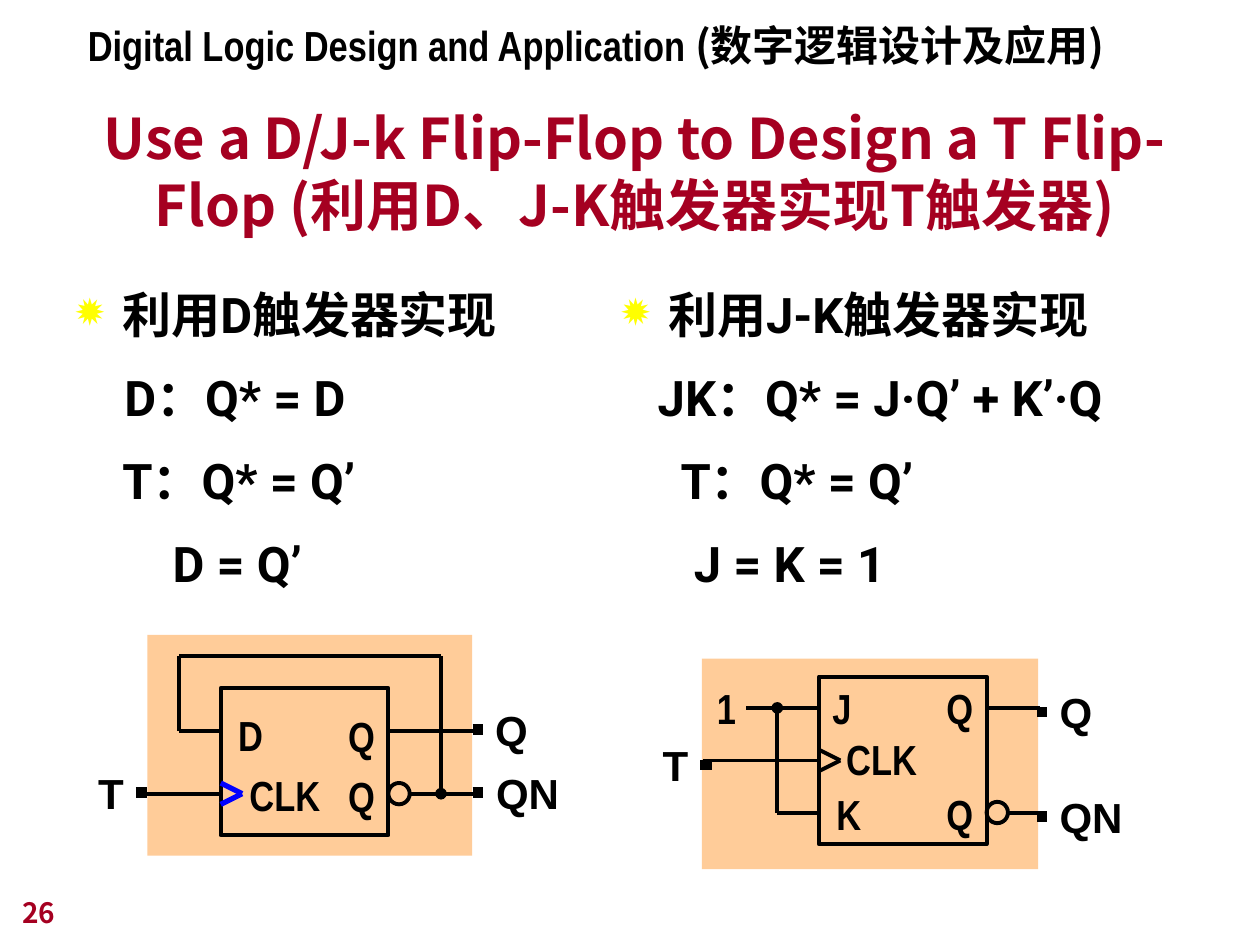
from dataclasses import dataclass

from lxml import etree
from pptx import Presentation
from pptx.dml.color import RGBColor
from pptx.enum.shapes import MSO_CONNECTOR, MSO_SHAPE
from pptx.enum.text import MSO_ANCHOR, MSO_AUTO_SIZE, PP_ALIGN
from pptx.oxml.ns import qn
from pptx.util import Cm, Pt

STRAIGHT = MSO_CONNECTOR.STRAIGHT
RECTANGLE, OVAL = MSO_SHAPE.RECTANGLE, MSO_SHAPE.OVAL
TOP, BOTTOM = MSO_ANCHOR.TOP, MSO_ANCHOR.BOTTOM
LEFT, CENTER = PP_ALIGN.LEFT, PP_ALIGN.CENTER
NO_AUTOFIT = MSO_AUTO_SIZE.NONE

BLACK = RGBColor(0x00, 0x00, 0x00)
BLUE = RGBColor(0x00, 0x00, 0xFF)
CRIMSON = RGBColor(0xA5, 0x00, 0x21)
PEACH = RGBColor(0xFF, 0xCC, 0x99)
YELLOW = RGBColor(0xFF, 0xFF, 0x00)
CJK, NARROW, ARIAL, ROBOTO = "Noto Sans CJK JP", "Arial Narrow", "Arial", "Roboto"

BUBBLE = 0.43
LABEL_HEIGHT = 1.27
OUTPUT_WIDTH = 1.02
OUTPUT_OFFSET = 2.32


@dataclass
class Line:
    text: str
    indent: float
    spacing: float = 1.2


@dataclass
class Column:
    left: float
    width: float
    heading: str
    equations: list[Line]


@dataclass
class Pin:
    text: str
    left: float
    width: float
    stub_left: float
    stub_right: float
    y: float


@dataclass
class Wire:
    x1: float
    y1: float
    x2: float
    y2: float
    dot: bool = False
    to_chip: bool = False


@dataclass
class Circuit:
    board: tuple[float, float, float, float]
    chip: tuple[float, float, float, float]
    inputs: list[Line]
    output_tops: tuple[float, float]
    pins: list[Pin]
    wires: list[Wire]
    bubble_y: float
    clock_y: float
    clock_color: RGBColor
    clock_weight: float


COLUMNS = [
    Column(1.27, 11.23, "利用D触发器实现", [
        Line("D：Q* = D", 0.99), Line("T：Q* = Q’", 0.95), Line("D = Q’", 1.96)]),
    Column(12.27, 11.86, "利用J-K触发器实现", [
        Line("JK：Q* = J·Q’ + K’·Q", 0.74), Line("T：Q* = Q’", 1.2),
        Line("J = K = 1", 1.47)]),
]

CIRCUITS = [
    Circuit(
        (2.97, 12.8, 6.55, 4.45), (4.45, 13.87, 3.38, 2.97),
        [Line("D", 0.1, 1.3), Line("CLK", 0.33)], (14.2, 15.41),
        [Pin("T", 1.73, 1.02, 2.74, 2.97, 15.98),
         Pin("Q", 9.73, 1.17, 9.53, 9.73, 14.71),
         Pin("QN", 9.75, 1.78, 9.53, 9.73, 15.98)],
        [Wire(7.82, 14.73, 9.53, 14.73), Wire(8.26, 16, 9.53, 16),
         Wire(3.61, 14.73, 4.45, 14.73), Wire(2.97, 16, 4.45, 16),
         Wire(8.89, 16, 8.89, 13.23, dot=True),
         Wire(3.61, 14.73, 3.61, 13.23), Wire(3.61, 13.23, 8.89, 13.23)],
        16, 16, BLUE, 3),
    Circuit(
        (14.15, 13.28, 6.78, 4.24), (16.51, 13.64, 3.38, 3.38),
        [Line("J", 0.02, 1), Line("CLK", 0.3, 1), Line("K", 0.1, 1.1)], (13.64, 15.78),
        [Pin("T", 13.11, 1.02, 14.12, 14.35, 15.42),
         Pin("Q", 21.11, 1.17, 20.9, 21.11, 14.35),
         Pin("QN", 21.11, 1.78, 20.9, 21.11, 16.46)],
        [Wire(19.89, 14.27, 20.96, 14.27), Wire(20.32, 16.38, 20.96, 16.38),
         Wire(15.04, 14.27, 16.51, 14.27),
         Wire(14.17, 15.33, 16.51, 15.33, to_chip=True),
         Wire(15.67, 16.38, 16.51, 16.38),
         Wire(15.67, 14.27, 15.67, 16.38, dot=True)],
        16.38, 15.33, BLACK, 2.25),
]


def style_font(font, size: float, name: str, color: RGBColor = BLACK) -> None:
    font.size, font.name, font.bold = Pt(size), name, True
    font.color.rgb = color


def style_paragraph(paragraph, size: float, name: str, color: RGBColor = BLACK) -> None:
    style_font(paragraph.font, size, name, color)
    defaults = paragraph._p.pPr.find(qn("a:defRPr"))
    etree.SubElement(defaults, qn("a:ea"), typeface=CJK)


def add_box(slide, left: float, top: float, width: float, height: float, anchor=TOP):
    frame = slide.shapes.add_textbox(Cm(left), Cm(top), Cm(width), Cm(height)).text_frame
    frame.word_wrap, frame.vertical_anchor = True, anchor
    return frame


def add_label(slide, text: str, left: float, top: float, width: float, name: str) -> None:
    frame = add_box(slide, left, top, width, LABEL_HEIGHT)
    frame.word_wrap = False
    frame.text = text
    style_paragraph(frame.paragraphs[0], 24, name)


def add_paragraph(frame, index: int, line: Line):
    paragraph = frame.add_paragraph() if index else frame.paragraphs[0]
    paragraph.text, paragraph.line_spacing = line.text, line.spacing
    properties = paragraph._p.get_or_add_pPr()
    properties.set("marL", str(Cm(line.indent)))
    properties.set("indent", "0")
    return paragraph


def add_bullet(paragraph, hanging: float) -> None:
    properties = paragraph._p.get_or_add_pPr()
    properties.set("indent", str(-Cm(hanging)))
    color = etree.SubElement(properties, qn("a:buClr"))
    etree.SubElement(color, qn("a:srgbClr"), val=str(YELLOW))
    etree.SubElement(properties, qn("a:buSzPct"), val="100000")
    etree.SubElement(properties, qn("a:buChar"), char="✹")


def add_column(slide, column: Column) -> None:
    frame = add_box(slide, column.left, 5.38, column.width, 7)
    for index, line in enumerate([Line(column.heading, 0.95), *column.equations]):
        paragraph = add_paragraph(frame, index, line)
        if index:
            paragraph.space_before = Pt(7)
        else:
            add_bullet(paragraph, line.indent)
        style_paragraph(paragraph, 28, ROBOTO)


def add_wire(slide, wire: Wire, color: RGBColor = BLACK, weight: float = 2.25):
    connector = slide.shapes.add_connector(
        STRAIGHT, Cm(wire.x1), Cm(wire.y1), Cm(wire.x2), Cm(wire.y2))
    connector.line.color.rgb, connector.line.width = color, Pt(weight)
    if wire.dot:
        etree.SubElement(connector.get_or_add_ln(), qn("a:headEnd"), type="oval")
    etree.SubElement(connector._element.spPr, qn("a:effectLst"))
    return connector


def add_outline(slide, kind, left: float, top: float, width: float, height: float):
    shape = slide.shapes.add_shape(kind, Cm(left), Cm(top), Cm(width), Cm(height))
    shape.shadow.inherit = False
    shape.fill.background()
    shape.line.color.rgb, shape.line.width = BLACK, Pt(2.25)
    return shape


def add_circuit(slide, circuit: Circuit) -> None:
    board = add_outline(slide, RECTANGLE, *circuit.board)
    board.fill.solid()
    board.fill.fore_color.rgb = PEACH
    board.line.fill.background()
    for pin in circuit.pins:
        add_wire(slide, Wire(pin.stub_left, pin.y, pin.stub_right, pin.y), weight=6)
        add_label(slide, pin.text, pin.left, pin.y - LABEL_HEIGHT / 2, pin.width, ARIAL)

    chip = add_outline(slide, RECTANGLE, *circuit.chip)
    frame = chip.text_frame
    frame.word_wrap, frame.vertical_anchor = True, TOP
    for index, line in enumerate(circuit.inputs):
        paragraph = add_paragraph(frame, index, line)
        paragraph.alignment = LEFT
        style_paragraph(paragraph, 24, NARROW)

    chip_left, _, chip_width, _ = circuit.chip
    for output_top in circuit.output_tops:
        add_label(slide, "Q", chip_left + OUTPUT_OFFSET, output_top, OUTPUT_WIDTH, NARROW)
    add_outline(slide, OVAL, chip_left + chip_width, circuit.bubble_y - BUBBLE / 2,
                BUBBLE, BUBBLE)
    for wire in circuit.wires:
        connector = add_wire(slide, wire)
        if wire.to_chip:
            connector.end_connect(chip, 1)
            connector.begin_y = connector.end_y
    for offset in (-BUBBLE / 2, BUBBLE / 2):
        add_wire(slide, Wire(chip_left, circuit.clock_y + offset,
                             chip_left + BUBBLE, circuit.clock_y),
                 circuit.clock_color, circuit.clock_weight)


def main() -> None:
    deck = Presentation()
    deck.slide_width, deck.slide_height = Cm(25.4), Cm(19.05)
    slide = deck.slides.add_slide(deck.slide_layouts[5])

    title = slide.shapes.title
    title.left, title.top, title.width, title.height = Cm(0.69), Cm(1.9), Cm(24.21), Cm(3.02)
    heading = title.text_frame
    heading.text = "Use a D/J-k Flip-Flop to Design a T Flip-Flop (利用D、J-K触发器实现T触发器)"
    heading.word_wrap, heading.vertical_anchor = True, BOTTOM
    heading.auto_size = NO_AUTOFIT
    heading.paragraphs[0].alignment = CENTER
    style_paragraph(heading.paragraphs[0], 32, CJK, CRIMSON)

    for column in COLUMNS:
        add_column(slide, column)
    for circuit in CIRCUITS:
        add_circuit(slide, circuit)
    add_label(slide, "1", 14.2, 13.64, 0.89, NARROW)

    course = add_box(slide, 1.52, 0.27, 21.36, LABEL_HEIGHT).paragraphs[0]
    for text, name in (("Digital Logic Design and Application ", NARROW),
                       ("(数字逻辑设计及应用)", CJK)):
        run = course.add_run()
        run.text = text
        style_font(run.font, 24, name)

    page = add_box(slide, 0.2, 17.58, 5.28, LABEL_HEIGHT, BOTTOM)
    page.text = "26"
    style_paragraph(page.paragraphs[0], 16, CJK, CRIMSON)

    deck.save("out.pptx")


if __name__ == "__main__":
    main()
